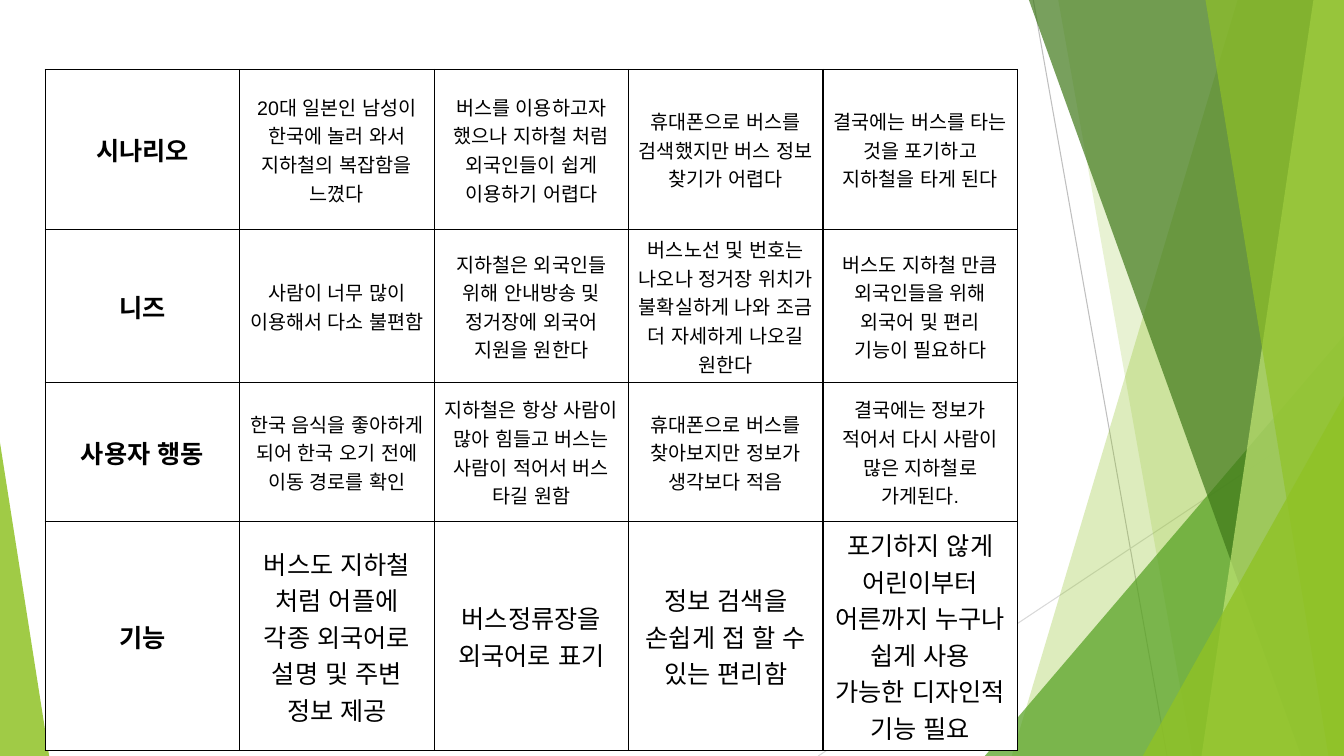
"""Build a slide with a scenario, needs, actions and features table beside green facets."""
from dataclasses import dataclass
from typing import Any

import lxml.etree
import pptx
import pptx.dml.color
import pptx.enum.lang
import pptx.enum.shapes
import pptx.enum.text
import pptx.oxml.ns
import pptx.util

Cm = pptx.util.Cm
WIDTH, HEIGHT = 33.87, 19.05


@dataclass(frozen=True)
class Theme:
    """Colours, font and type sizes."""
    font: str = "Arial"
    heading: int = 18
    body: int = 14
    text: str = "000000"
    cell: str = "FFFFFF"
    green: str = "90C226"
    mid: str = "54A021"
    dark: str = "3F7819"
    light: str = "C0E474"


@dataclass(frozen=True)
class Ray:
    """A thin background line."""
    x1: float
    y1: float
    x2: float
    y2: float
    color: str


@dataclass(frozen=True)
class Band:
    """A facet from a slanted left edge to the right side of the slide."""
    top_x: float
    bottom_x: float
    color: str
    alpha: int


@dataclass(frozen=True)
class Corner:
    """A right triangle standing on the bottom of the slide."""
    left: float
    top: float
    width: float
    apex: float
    color: str
    alpha: int


@dataclass(frozen=True)
class Row:
    """A table row with its heading and body cells."""
    height: float
    heading: str
    cells: tuple[str, ...]
    size: int


THEME = Theme()
RAYS = (
    Ray(26.04, 0, 29.41, HEIGHT, "BFBFBF"),
    Ray(WIDTH, 10.24, 20.62, HEIGHT, "D9D9D9"),
)
FACETS = (
    Band(31.19, 25.5, THEME.green, 30),
    Band(26.67, 30.05, THEME.green, 20),
    Corner(24.82, 8.46, 9.05, 1, THEME.mid, 72),
    Band(25.93, 32.79, THEME.dark, 70),
    Band(33.1, 30.28, THEME.light, 70),
    Band(30.38, 33.48, THEME.green, 65),
    Corner(28.8, 9.98, 5.07, 1, THEME.green, 80),
    Corner(0, 11.15, 1.24, 0, THEME.green, 85),
)
ROWS = (
    Row(4.04, "시나리오", (
        "20대 일본인 남성이 한국에 놀러 와서 지하철의 복잡함을 느꼈다",
        "버스를 이용하고자 했으나 지하철 처럼 외국인들이 쉽게 이용하기 어렵다",
        "휴대폰으로 버스를 검색했지만 버스 정보 찾기가 어렵다",
        "결국에는 버스를 타는 것을 포기하고 지하철을 타게 된다"), THEME.body),
    Row(3.5, "니즈", (
        "사람이 너무 많이 이용해서 다소 불편함",
        "지하철은 외국인들 위해 안내방송 및 정거장에 외국어 지원을 원한다",
        "버스노선 및 번호는 나오나 정거장 위치가 불확실하게 나와 조금 더 자세하게 나오길 원한다",
        "버스도 지하철 만큼 외국인들을 위해 외국어 및 편리 기능이 필요하다"), THEME.body),
    Row(3.5, "사용자 행동", (
        "한국 음식을 좋아하게 되어 한국 오기 전에 이동 경로를 확인",
        "지하철은 항상 사람이 많아 힘들고 버스는 사람이 적어서 버스 타길 원함",
        "휴대폰으로 버스를 찾아보지만 정보가 생각보다 적음",
        "결국에는 정보가 적어서 다시 사람이 많은 지하철로 가게된다."), THEME.body),
    Row(3.5, "기능", (
        "버스도 지하철 처럼 어플에 각종 외국어로 설명 및 주변 정보 제공",
        "버스정류장을 외국어로 표기",
        "정보 검색을 손쉽게 접 할 수 있는 편리함",
        "포기하지 않게 어린이부터 어른까지 누구나 쉽게 사용 가능한 디자인적 기능 필요"), THEME.heading),
)


def rgb(color: str) -> pptx.dml.color.RGBColor:
    """Return the colour for a hex string."""
    return pptx.dml.color.RGBColor.from_string(color)


def add_sub(parent: Any, tag: str, **attrs: str) -> Any:
    """Append a DrawingML child element."""
    return lxml.etree.SubElement(parent, pptx.oxml.ns.qn(tag), attrs)


def draw_ray(slide: Any, ray: Ray) -> None:
    """Draw a background line without a shadow."""
    cxn = slide.shapes.add_connector(
        pptx.enum.shapes.MSO_CONNECTOR.STRAIGHT,
        Cm(ray.x1), Cm(ray.y1), Cm(ray.x2), Cm(ray.y2))
    cxn.line.color.rgb = rgb(ray.color)
    cxn.line.width = pptx.util.Pt(0.75)
    add_sub(cxn.element.spPr, "a:effectLst")


def draw_facet(slide: Any, facet: Band | Corner) -> None:
    """Draw a translucent facet."""
    if isinstance(facet, Band):
        builder = slide.shapes.build_freeform(Cm(facet.top_x), 0)
        builder.add_line_segments([
            (Cm(WIDTH), 0), (Cm(WIDTH), Cm(HEIGHT)), (Cm(facet.bottom_x), Cm(HEIGHT))])
        sp = builder.convert_to_shape()
    else:
        sp = slide.shapes.add_shape(
            pptx.enum.shapes.MSO_SHAPE.ISOSCELES_TRIANGLE,
            Cm(facet.left), Cm(facet.top), Cm(facet.width), Cm(HEIGHT - facet.top))
        sp.adjustments[0] = facet.apex
    sp.shadow.inherit = False
    sp.line.fill.background()
    sp.fill.solid()
    sp.fill.fore_color.rgb = rgb(facet.color)
    color = sp.element.spPr.find(".//" + pptx.oxml.ns.qn("a:srgbClr"))
    add_sub(color, "a:alpha", val=str(facet.alpha * 1000))


def write_text(tf: Any, text: str, *, size: int, bold: bool = False) -> None:
    """Write centred text in the theme font."""
    p = tf.paragraphs[0]
    p.alignment = pptx.enum.text.PP_ALIGN.CENTER
    r = p.add_run()
    r.text = text
    r.font.name = THEME.font
    r.font.size = pptx.util.Pt(size)
    r.font.bold = bold
    r.font.color.rgb = rgb(THEME.text)
    r.font.language_id = pptx.enum.lang.MSO_LANGUAGE_ID.KOREAN


def format_cell(cell: Any) -> None:
    """Give a cell its borders, fill, margins and anchor."""
    tc_pr = cell._tc.get_or_add_tcPr()
    for side in ("a:lnL", "a:lnR", "a:lnT", "a:lnB"):
        ln = add_sub(tc_pr, side, w=str(pptx.util.Pt(1)))
        add_sub(add_sub(ln, "a:solidFill"), "a:srgbClr", val=THEME.text)
    cell.fill.solid()
    cell.fill.fore_color.rgb = rgb(THEME.cell)
    cell.margin_left = cell.margin_right = Cm(0.24)
    cell.vertical_anchor = pptx.enum.text.MSO_ANCHOR.MIDDLE


def draw_table(slide: Any, rows: tuple[Row, ...]) -> None:
    """Draw the table with equal columns."""
    columns, column_width = 5, 4.9
    table = slide.shapes.add_table(
        len(rows), columns, Cm(1.14), Cm(1.75), Cm(columns * column_width),
        Cm(sum(row.height for row in rows))).table
    table.first_row = table.horz_banding = False
    for column in table.columns:
        column.width = Cm(column_width)
    for i, row in enumerate(rows):
        table.rows[i].height = Cm(row.height)
        for j, text in enumerate((row.heading, *row.cells)):
            cell = table.cell(i, j)
            format_cell(cell)
            size = row.size if j else THEME.heading
            write_text(cell.text_frame, text, size=size, bold=j == 0)


def main() -> None:
    """Build and save the presentation."""
    prs = pptx.Presentation()
    prs.slide_width, prs.slide_height = Cm(WIDTH), Cm(HEIGHT)
    slide = prs.slides.add_slide(prs.slide_layouts[6])
    for ray in RAYS:
        draw_ray(slide, ray)
    for facet in FACETS:
        draw_facet(slide, facet)
    draw_table(slide, ROWS)
    prs.save("out.pptx")


if __name__ == "__main__":
    main()
